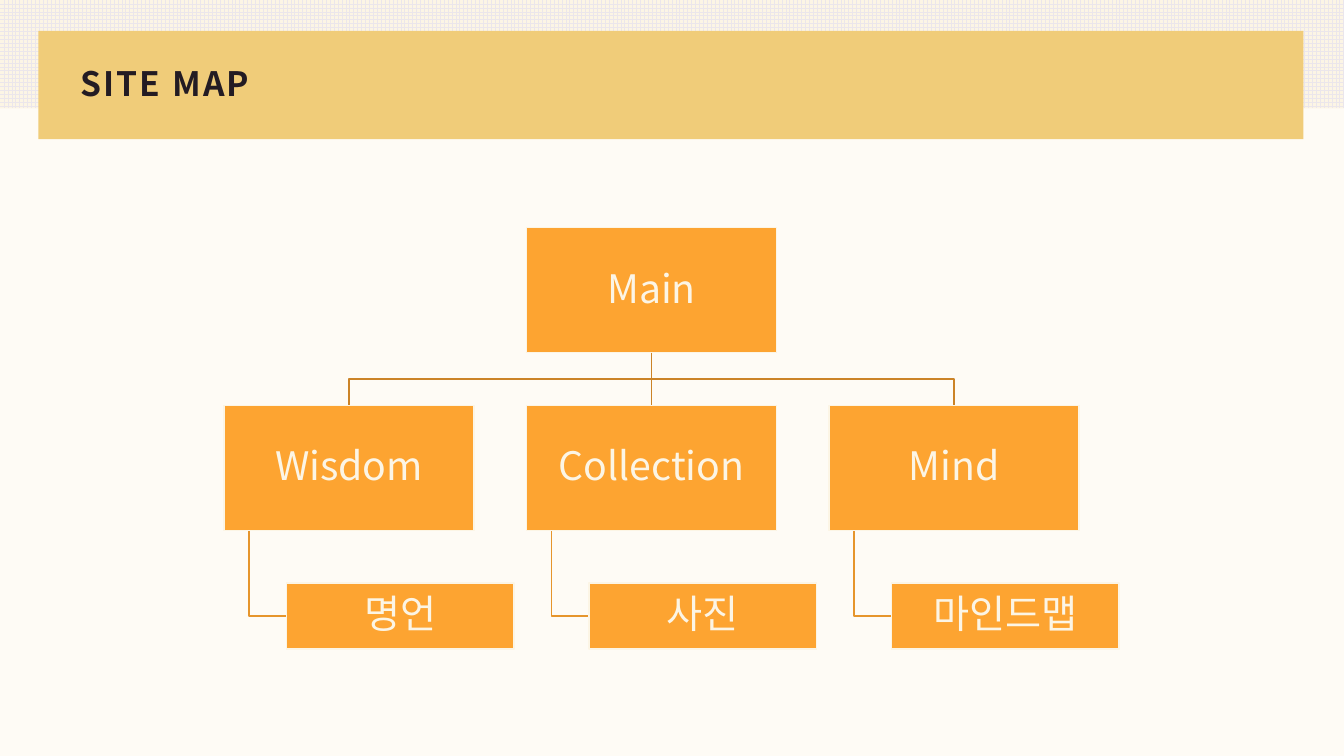
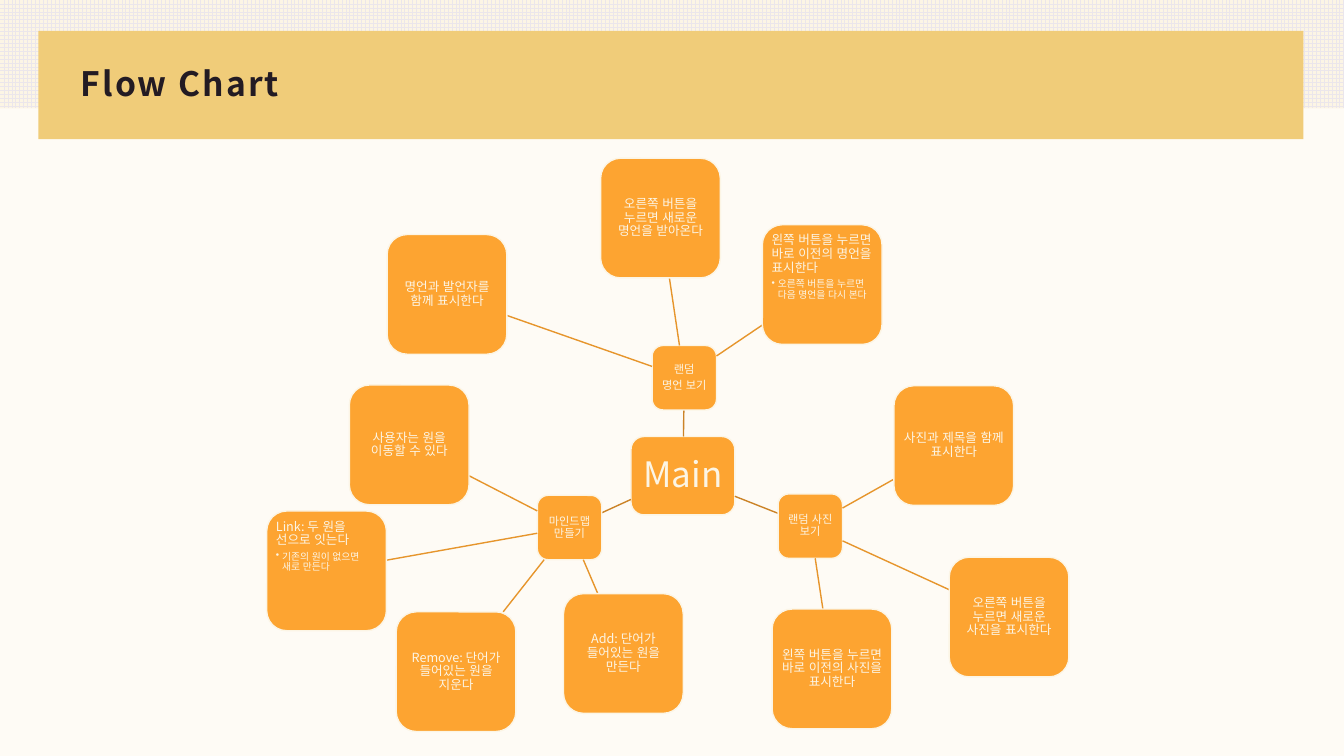
from lxml.etree import SubElement
from pptx import Presentation
from pptx.dml.color import RGBColor
from pptx.enum.dml import MSO_PATTERN
from pptx.enum.lang import MSO_LANGUAGE_ID as LANG
from pptx.enum.shapes import MSO_CONNECTOR, MSO_SHAPE as SHAPE
from pptx.enum.text import MSO_ANCHOR as ANCHOR, PP_ALIGN as ALIGN
from pptx.oxml.ns import qn
from pptx.util import Pt

W, H = 960, 540
CREAM, PAPER, GRID = "FCF5E5", "FEFBF5", "EBE6EB"
BAND, INK = "F0CC79", "231B23"
ORANGE, DARK_LINE, LIGHT_LINE = "FDA431", "CB8327", "E6952C"
TITLE_FONT, BODY_FONT = "Noto Sans CJK KR", "Noto Sans CJK JP"


def rgb(color):
    """Turn a hex string into a colour."""
    return RGBColor.from_string(color)


def add_text(tf, text, size, color=CREAM, font=BODY_FONT, bold=False,
             align=ALIGN.CENTER, after=0.35, spacing=0, bullet=False):
    """Write one paragraph, using the empty first one if there is one."""
    p = tf.paragraphs[0] if not tf.text else tf.add_paragraph()
    p.alignment = align
    p.line_spacing = 0.9
    p.space_after = Pt(round(size * after, 2))
    if bullet:
        pPr = p._p.get_or_add_pPr()
        pPr.set("marL", str(Pt(4.5)))
        pPr.set("indent", str(-Pt(4.5)))
        SubElement(pPr, qn("a:buChar")).set("char", "•")
    r = p.add_run()
    r.text = text
    f = r.font
    f.size, f.bold, f.name = Pt(size), bold, font
    f.color.rgb = rgb(color)
    f.language_id = LANG.KOREAN
    rPr = r._r.get_or_add_rPr()
    if spacing:
        rPr.set("spc", str(int(spacing * 100)))
    SubElement(rPr, qn("a:ea")).set("typeface", font)


def add_box(s, box, kind=SHAPE.RECTANGLE, fill=ORANGE, line=None):
    """Add a flat preset shape."""
    sp = s.shapes.add_shape(kind, *map(Pt, box))
    sp.shadow.inherit = False
    sp.fill.solid()
    sp.fill.fore_color.rgb = rgb(fill)
    if line:
        sp.line.color.rgb = rgb(line)
        sp.line.width = Pt(1)
    else:
        sp.line.fill.background()
    return sp


def add_node(s, box, text, size, inset, kind=SHAPE.RECTANGLE, detail=None):
    """Add an orange node; a node with a detail is set from its top left."""
    tf = add_box(s, box, kind, line=CREAM).text_frame
    tf.word_wrap = True
    tf.margin_left = tf.margin_right = Pt(inset)
    tf.margin_top = tf.margin_bottom = Pt(inset)
    tf.vertical_anchor = ANCHOR.TOP if detail else ANCHOR.MIDDLE
    align = ALIGN.LEFT if detail else ALIGN.CENTER
    for part in text.split("\n"):
        add_text(tf, part, size, align=align)
    if detail:
        add_text(tf, detail, 7, align=align, after=0.15, bullet=True)


def add_line(s, start, end, color):
    """Add a straight connector."""
    c = s.shapes.add_connector(MSO_CONNECTOR.STRAIGHT, *map(Pt, start + end))
    c.line.color.rgb = rgb(color)
    c.line.width = Pt(1)
    SubElement(c._element.spPr, qn("a:effectLst"))


def add_bend(s, points, color):
    """Add an open line with right-angled corners."""
    start, *rest = [(Pt(x), Pt(y)) for x, y in points]
    builder = s.shapes.build_freeform(*start)
    builder.add_line_segments(rest, close=False)
    sp = builder.convert_to_shape()
    sp.shadow.inherit = False
    sp.fill.background()
    sp.line.color.rgb = rgb(color)
    sp.line.width = Pt(1)


def add_slide(prs, title):
    """Add a slide with the shared background, band and title."""
    s = prs.slides.add_slide(prs.slide_layouts[5])
    s.background.fill.solid()
    s.background.fill.fore_color.rgb = rgb(PAPER)
    fill = add_box(s, (0, 0, W, 77.5)).fill
    fill.patterned()
    fill.pattern = MSO_PATTERN.LARGE_GRID
    fill.fore_color.rgb = rgb(GRID)
    fill.back_color.rgb = rgb(CREAM)
    add_box(s, (27.5, 22, 903.5, 77.5), fill=BAND)
    sp = s.shapes.title
    sp.left, sp.top, sp.width, sp.height = map(Pt, (50.4, 38, 859, 46))
    s.shapes._spTree.append(sp._element)
    sp.text_frame.vertical_anchor = ANCHOR.MIDDLE
    add_text(sp.text_frame, title, 24, INK, TITLE_FONT, True, ALIGN.LEFT,
             after=0, spacing=1.5)
    return s


def site_tree(s, box, root, branches):
    """Draw a root, a row of branches and one leaf under each branch."""
    x, y, w, h = box
    gap = 37.5
    count = len(branches)
    node_w = (w - w / 20 - (count - 1) * gap) / count
    node_h = (h - 2 * gap) / 2.53
    leaf_w, leaf_h = node_w * 0.91, node_h * 0.53
    branch_y = y + node_h + gap
    leaf_y = branch_y + node_h + gap
    root_x = x + (count - 1) / 2 * (node_w + gap)
    root_mid, bus_y = root_x + node_w / 2, y + node_h + gap / 2
    add_node(s, (root_x, y, node_w, node_h), root, 28, 1.5)
    for i, (branch, leaf) in enumerate(branches):
        left = x + i * (node_w + gap)
        mid, stem, leaf_x = left + node_w / 2, left + node_w / 10, left + node_w / 4
        leaf_mid = leaf_y + leaf_h / 2
        top, bottom = (root_mid, y + node_h), (mid, branch_y)
        if abs(mid - root_mid) < 1:
            add_line(s, top, bottom, DARK_LINE)
        else:
            add_bend(s, [top, (root_mid, bus_y), (mid, bus_y), bottom], DARK_LINE)
        add_bend(s, [(stem, branch_y + node_h), (stem, leaf_mid),
                     (leaf_x, leaf_mid)], LIGHT_LINE)
        add_node(s, (left, branch_y, node_w, node_h), branch, 28, 1.5)
        add_node(s, (leaf_x, leaf_y, leaf_w, leaf_h), leaf, 28, 1.5)


def edge_point(center, size, target):
    """Find where the line from a box's centre to a target leaves the box."""
    dx, dy = target[0] - center[0], target[1] - center[1]
    t = 1 / max(2 * abs(dx) / size[0], 2 * abs(dy) / size[1])
    return center[0] + dx * t, center[1] + dy * t


def mind_map(s, box, hub_text, branches):
    """Draw a hub with branches and leaves at offsets from its centre."""
    x, y, w, h = box
    hub = (x + w / 2, y + h * 0.55)
    hub_size, branch_size, leaf_size = (74.2, 56), (46, 46), (85.5, 85.5)

    def place(offset):
        return hub[0] + offset[0], hub[1] + offset[1]

    def node(center, size, *args):
        corner = center[0] - size[0] / 2, center[1] - size[1] / 2
        add_node(s, corner + size, *args)

    def link(a, a_size, b, b_size, color):
        add_line(s, edge_point(a, a_size, b), edge_point(b, b_size, a), color)

    rounded = SHAPE.ROUNDED_RECTANGLE
    node(hub, hub_size, hub_text, 25, 5, rounded)
    for text, offset, leaves in branches:
        center = place(offset)
        link(hub, hub_size, center, branch_size, DARK_LINE)
        node(center, branch_size, text, 8, 1.5, rounded)
        for leaf_text, leaf_offset, *detail in leaves:
            leaf = place(leaf_offset)
            link(center, branch_size, leaf, leaf_size, LIGHT_LINE)
            node(leaf, leaf_size, leaf_text, 9, 2.4, rounded, *detail)


SITE = [("Wisdom", "명언"), ("Collection", "사진"), ("Mind", "마인드맵")]
FLOW = [
    ("랜덤\n명언 보기", (1, -70), [
        ("명언과 발언자를 함께 표시한다", (-168.5, -129.5)),
        ("오른쪽 버튼을 누르면 새로운 명언을 받아온다", (-16, -184)),
        ("왼쪽 버튼을 누르면 바로 이전의 명언을 표시한다", (99.5, -136.5),
         "오른쪽 버튼을 누르면 다음 명언을 다시 본다")]),
    ("랜덤 사진 보기", (91, 36), [
        ("사진과 제목을 함께 표시한다", (193.5, -21.5)),
        ("오른쪽 버튼을 누르면 새로운 사진을 표시한다", (233, 101)),
        ("왼쪽 버튼을 누르면 바로 이전의 사진을 표시한다", (106.5, 138)),
    ]),
    ("마인드맵 만들기", (-81, 37), [
        ("Add: 단어가 들어있는 원을 만든다", (-42.5, 127)),
        ("Remove: 단어가 들어있는 원을 지운다", (-162, 140)),
        ("Link: 두 원을 선으로 잇는다", (-254.5, 68),
         "기존의 원이 없으면 새로 만든다"),
        ("사용자는 원을 이동할 수 있다", (-195.5, -22))]),
]

prs = Presentation()
prs.slide_width, prs.slide_height = Pt(W), Pt(H)
site_tree(add_slide(prs, "SITE MAP"), (160, 162.7, 643, 301), "Main", SITE)
mind_map(add_slide(prs, "Flow Chart"), (190.8, 113.2, 594, 412), "Main", FLOW)
prs.save("out.pptx")
